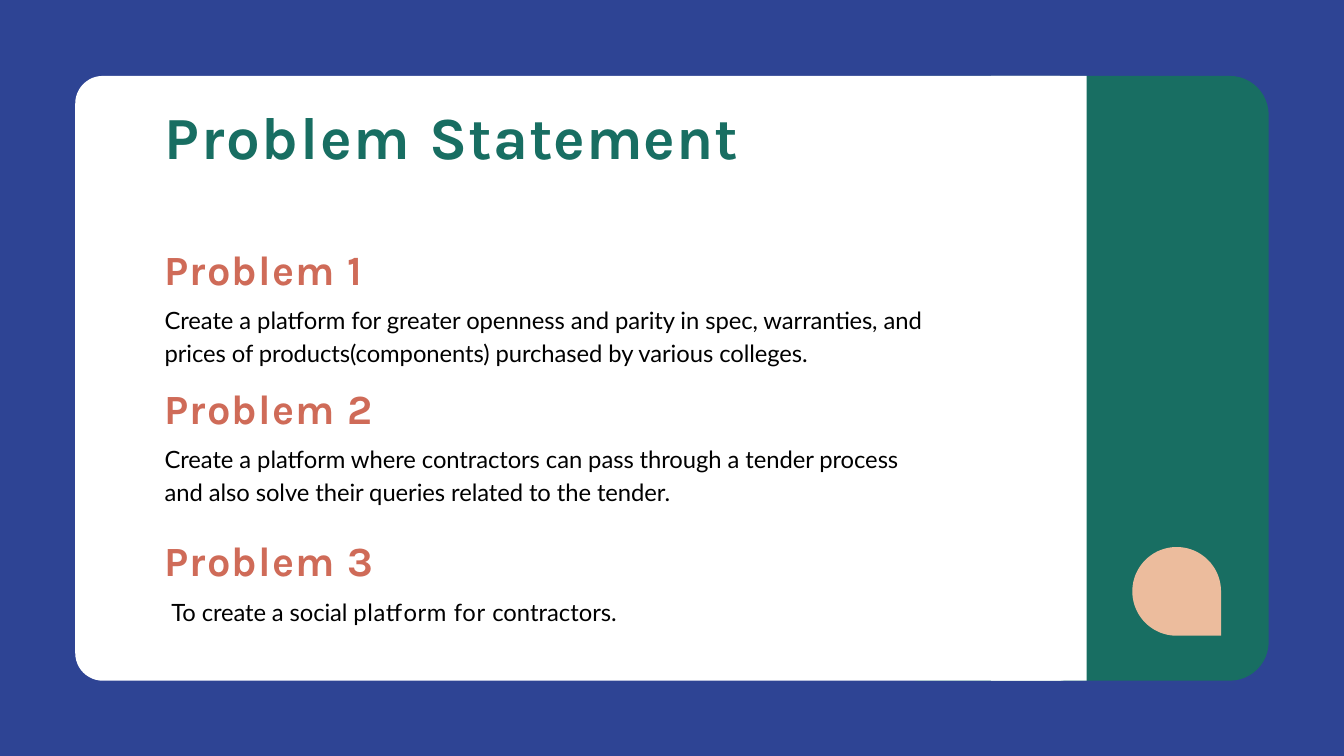
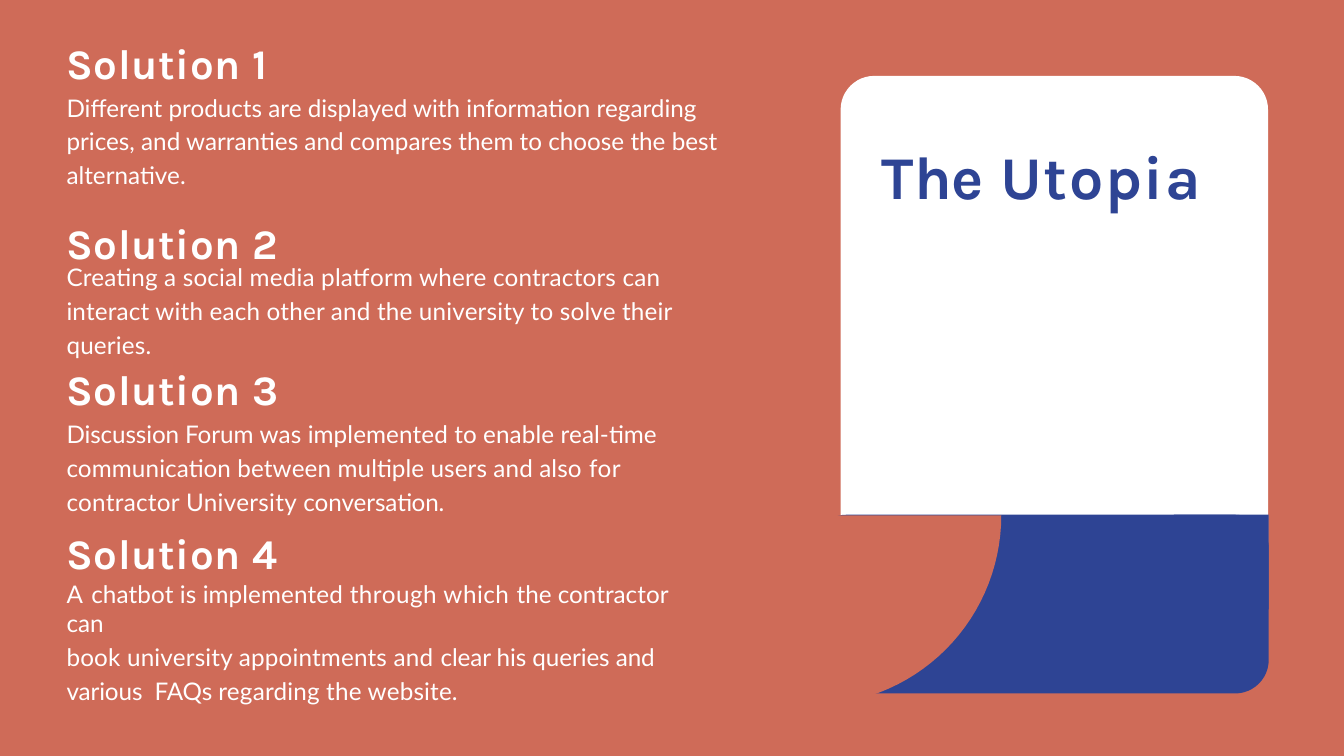
from math import cos, radians, sin

from pptx import Presentation
from pptx.dml.color import RGBColor
from pptx.enum.shapes import MSO_SHAPE as SHAPE
from pptx.util import Inches, Pt

BLUE, GREEN, CORAL = "2E4494", "186E62", "CF6B58"
PEACH, WHITE, BLACK = "ECBC9D", "FFFFFF", "000000"

rgb = RGBColor.from_string


def panel(s, x, y, w, h, color, radius=0):
    """Add a borderless panel, with rounded corners if a radius is given."""
    kind = SHAPE.ROUNDED_RECTANGLE if radius else SHAPE.RECTANGLE
    sp = s.shapes.add_shape(kind, Inches(x), Inches(y), Inches(w), Inches(h))
    if radius:
        sp.adjustments[0] = radius / min(w, h)
    sp.shadow.inherit = False
    sp.fill.solid()
    sp.fill.fore_color.rgb = rgb(color)
    sp.line.fill.background()


def write(tf, text, size=26, color=WHITE, font="Lato", bold=False, spc=0,
          before=0, line=None, left=0.01, right=0):
    """Write one paragraph; text is a string or a list of (text, spacing)."""
    p = tf.paragraphs[0]
    if p.runs:
        p = tf.add_paragraph()
    p.space_before = Pt(before)
    if line:
        p.line_spacing = line
    pPr = p._p.get_or_add_pPr()
    pPr.set("marL", str(Inches(left)))
    pPr.set("marR", str(Inches(right)))
    for part, gap in [(text, spc)] if isinstance(text, str) else text:
        r = p.add_run()
        r.text = part
        r.font.size, r.font.name, r.font.bold = Pt(size), font, bold
        r.font.color.rgb = rgb(color)
        r._r.get_or_add_rPr().set("spc", str(round(gap * 100)))


prs = Presentation()
prs.slide_width, prs.slide_height = Inches(20), Inches(11.25)
slides = []
for color in (BLUE, CORAL):
    s = prs.slides.add_slide(prs.slide_layouts[6])
    s.background.fill.solid()
    s.background.fill.fore_color.rgb = rgb(color)
    slides.append(s)
problems, solutions = slides

# Panels; plain rectangles square off the rounded corners where panels meet
panel(problems, 13.12, 1.13, 5.76, 9, GREEN, radius=0.58)
panel(problems, 1.12, 1.13, 15.04, 9, WHITE, radius=0.41)
panel(problems, 14.75, 1.13, 1.42, 9, WHITE)
panel(solutions, 12.51, 1.13, 6.36, 7.44, WHITE, radius=0.5)
panel(solutions, 12.1, 7.66, 6.78, 2.66, BLUE, radius=0.5)
panel(solutions, 17.47, 7.66, 1.41, 1.41, BLUE)

# Drop and quarter disc: an arc closed through one corner point
arcs = [
    (problems, (17.51, 8.8), 0.66, 90, 360, (18.17, 9.46), PEACH),
    (solutions, (12.08, 7.67), 2.82, 0, 90, (12.08, 7.67), CORAL),
]
for s, (cx, cy), radius, start, end, corner, color in arcs:
    points = [(cx + radius * cos(radians(a)), cy + radius * sin(radians(a)))
              for a in range(start, end + 1, 3)]
    points = [(Inches(x), Inches(y)) for x, y in points + [corner]]
    fb = s.shapes.build_freeform(*points[0], scale=1.0)
    fb.add_line_segments(points[1:], close=True)
    sp = fb.convert_to_shape()
    sp.shadow.inherit = False
    sp.fill.solid()
    sp.fill.fore_color.rgb = rgb(color)
    sp.line.fill.background()

# Paragraph styles
title = dict(size=64, font="Karla", bold=True, color=GREEN, before=1.4)
utopia = dict(title, size=65, color=BLUE, before=1)
problem = dict(size=44.5, font="Karla", bold=True, color=CORAL, spc=1.2)
statement = dict(size=25.5, color=BLACK, spc=-0.1, before=6.9, line=1.18)
solution = dict(size=45, font="Karla", bold=True, spc=0.7)
fixed = dict(line=Pt(36.3))

# Text boxes: slide, place, top inset, paragraphs with their format
boxes = [
    (problems, (2.44, 1.46, 9.02, 1.1), 0.02, [
        ([("Problem ", 2), ("Statement", 1.1)], title)]),
    (problems, (2.44, 3.33, 11.49, 6.06), 0.3, [
        ("Problem 1", dict(problem, before=21.9)),
        ("Create a platform for greater openness and parity in spec, "
         "warranties, and prices of products(components) purchased by "
         "various colleges.", statement),
        ("Problem 2", dict(problem, before=6.9, line=1.18)),
        ("Create a platform where contractors can pass through a tender "
         "process and also solve their queries related to the tender.",
         statement),
        ("Problem 3", dict(problem, before=30.1)),
        ([("To create a social ", -0.15), ("platform for ", 0.65),
          ("contractors.", 0)],
         dict(size=25.5, color=BLACK, before=13.6, left=0.11))]),
    (solutions, (13.11, 2.05, 5.08, 1.11), 0.01, [
        ([("The ", 0.2), ("Utopia", 1.8)], utopia)]),
    (solutions, (0.98, 0.46, 9.91, 2.33), 0.1, [
        ("Solution 1", dict(solution, before=7.2)),
        ("Different products are displayed with information regarding "
         "prices, and warranties and compares them to choose the best "
         "alternative.", fixed)]),
    (solutions, (0.98, 3.23, 3.36, 0.78), 0.01, [
        ("Solution 2", dict(solution, before=1))]),
    (solutions, (0.98, 3.83, 9.75, 6.24), 0.01, [
        ("Creating a social media platform where contractors can interact "
         "with each other and the university to solve their queries.",
         dict(spc=0.2, before=1, line=1.16)),
        ("Solution 3", dict(solution, before=4.7)),
        ([("Discussion Forum ", -0.15),
          ("was implemented to enable real-time communication between "
           "multiple users and also ", 0.1),
          ("for ", 0.6), ("contractor University ", 0.3),
          ("conversation.", -0.1)], dict(fixed, before=0.6)),
        ("Solution 4", dict(solution, before=12.2)),
        ([("A ", 1.6), ("chatbot is implemented ", 0.1),
          ("through which ", 0.55), ("the contractor can", 0)],
         dict(before=1.4, right=0.5)),
        ([("book university appointments and ", 0.2),
          ("clear his queries and ", -0.1), ("various  FAQs ", -0.15),
          ("regarding the website.", 0.2)], dict(line=1.16))]),
]
for s, place, inset, paragraphs in boxes:
    tf = s.shapes.add_textbox(*map(Inches, place)).text_frame
    tf.word_wrap = True
    tf.margin_left = tf.margin_right = tf.margin_bottom = 0
    tf.margin_top = Inches(inset)
    for text, style in paragraphs:
        write(tf, text, **style)

prs.save("out.pptx")
